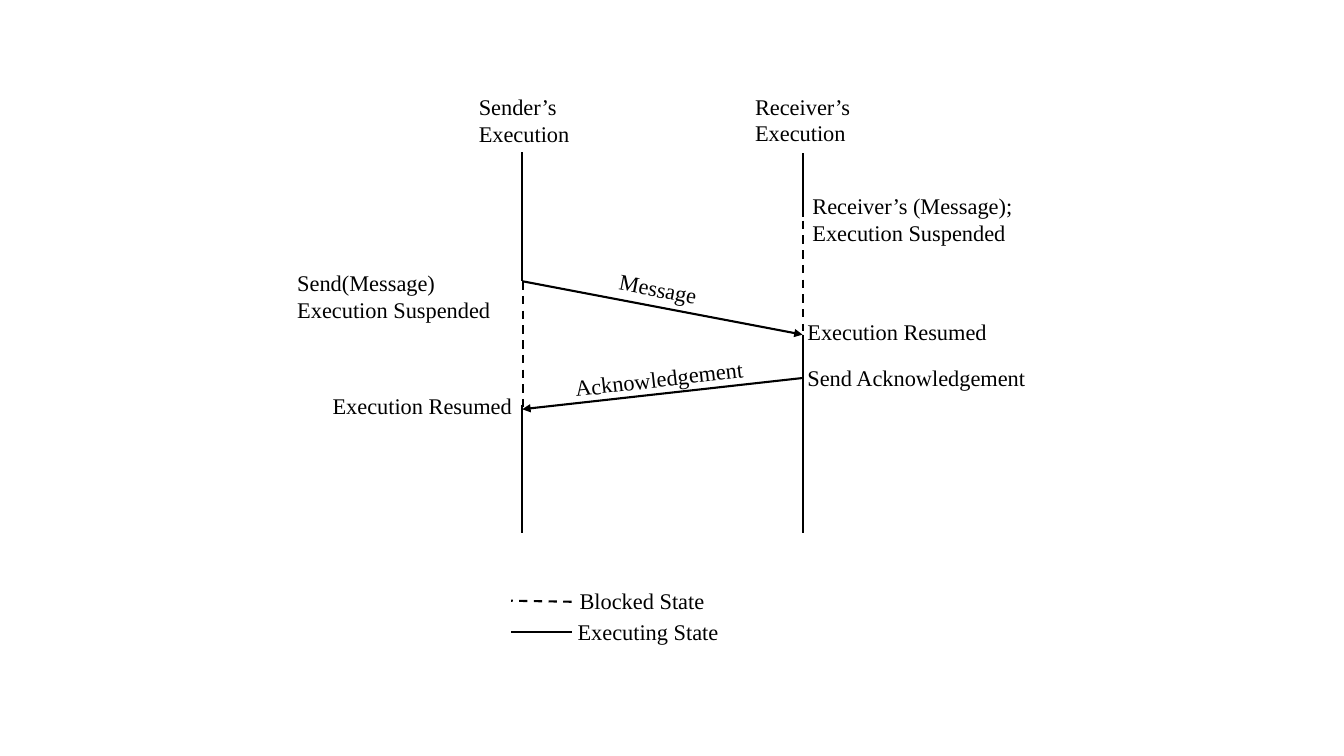
from lxml.etree import SubElement as Sub
from pptx import Presentation as Deck
from pptx.dml.color import RGBColor
from pptx.enum.dml import MSO_LINE as Dash
from pptx.enum.shapes import MSO_CONNECTOR as Link
from pptx.enum.text import MSO_AUTO_SIZE as Fit
from pptx.oxml.ns import qn
from pptx.util import Pt

PX = 9144
BLACK = RGBColor(0, 0, 0)
SEND, RECV = 518, 796


class Board:
    def __init__(self, slide):
        self.shapes = slide.shapes
        self.font = "Times New Roman"
        self.size = Pt(16)
        self.width = Pt(1.5)
        self.ink = BLACK

    def line(self, *ends, dash=False, arrow=False):
        link = self.shapes.add_connector(Link.STRAIGHT, *(v * PX for v in ends))
        link.line.width = self.width
        link.line.color.rgb = self.ink
        if dash:
            link.line.dash_style = Dash.DASH
        if arrow:
            Sub(link.line._get_or_add_ln(), qn("a:tailEnd"), type="triangle")
        Sub(link._element.spPr, qn("a:effectLst"))

    def text(self, left, top, width, height, *rows, turn=0):
        box = self.shapes.add_textbox(*(v * PX for v in (left, top, width, height)))
        box.rotation = turn
        frame = box.text_frame
        frame.word_wrap = True
        frame.auto_size = Fit.SHAPE_TO_FIT_TEXT
        frame.text = "\n".join(rows)
        for para in frame.paragraphs:
            para.font.name = self.font
            para.font.size = self.size
            para.font.color.rgb = self.ink


def main():
    deck = Deck()
    deck.slide_width, deck.slide_height = 1333 * PX, 750 * PX
    board = Board(deck.slides.add_slide(deck.slide_layouts[6]))

    for x, top, end, dash in (
        (SEND, 151, 279, False),
        (SEND + 1, 279, 406, True),
        (SEND, 402, 529, False),
        (RECV, 152, 215, False),
        (RECV, 219, 328, True),
        (RECV, 332, 529, False),
    ):
        board.line(x, top, x, end, dash=dash)
    board.line(SEND, 279, RECV, 332, arrow=True)
    board.line(RECV, 375, SEND, 406, arrow=True)

    board.text(465, 88, 132, 64, "Sender’s Execution")
    board.text(739, 87, 132, 64, "Receiver’s Execution")
    board.text(796, 186, 227, 64, "Receiver’s (Message);", "Execution Suspended")
    board.text(791, 311, 227, 37, "Execution Resumed")
    board.text(791, 356, 250, 37, "Send Acknowledgement")
    board.text(285, 262, 224, 64, "Send(Message)", "Execution Suspended")
    board.text(320, 384, 201, 37, "Execution Resumed")
    board.text(604, 269, 107, 37, "Message", turn=11)
    board.text(560, 357, 192, 37, "Acknowledgement", turn=353.5)

    board.line(567, 597, 507, 596, dash=True)
    board.line(567, 627, 507, 627)
    board.text(565, 578, 205, 37, "Blocked State")
    board.text(563, 608, 205, 37, "Executing State")

    deck.save("out.pptx")


if __name__ == "__main__":
    main()
